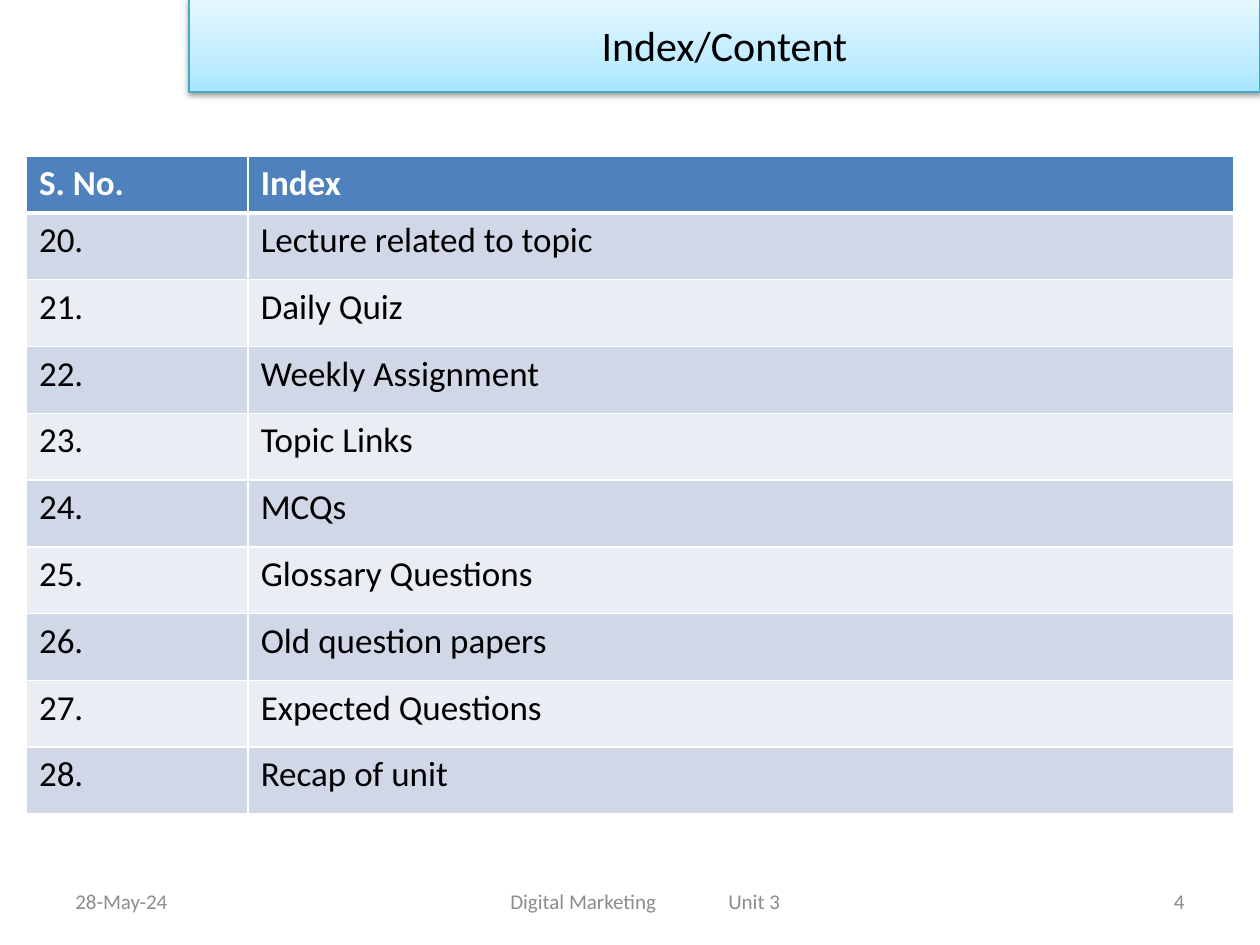
from copy import deepcopy

from lxml import etree
from pptx import Presentation
from pptx.dml.color import RGBColor
from pptx.enum.shapes import MSO_SHAPE
from pptx.enum.text import MSO_ANCHOR, PP_ALIGN
from pptx.oxml.ns import qn
from pptx.util import Inches, Pt

RECT = MSO_SHAPE.RECTANGLE
MIDDLE = MSO_ANCHOR.MIDDLE
LEFT, CENTER, RIGHT = PP_ALIGN.LEFT, PP_ALIGN.CENTER, PP_ALIGN.RIGHT

COLORS = {
    "white": "FFFFFF",
    "black": "000000",
    "gray": "8C8C8C",
    "head": "4F81BD",
    "odd": "D0D8E8",
    "even": "E9EDF4",
    "edge": "46AAC5",
    "deep": "A7E6FF",
    "mid": "C1EDFF",
    "pale": "E7F8FF",
}
TOPICS = [
    "Lecture related to topic",
    "Daily Quiz",
    "Weekly Assignment",
    "Topic Links",
    "MCQs",
    "Glossary Questions",
    "Old question papers",
    "Expected Questions",
    "Recap of unit",
]


def rgb(name):
    return RGBColor.from_string(COLORS[name])


def add(parent, tag, **attrs):
    return etree.SubElement(parent, qn(tag), {k: str(v) for k, v in attrs.items()})


class Deck:
    """Hold the style and the current slide, and draw each kind of element."""

    def __init__(self, font):
        self.font = font
        self.prs = Presentation()
        self.prs.slide_width, self.prs.slide_height = Inches(10), Inches(7.5)
        self.slide = self.prs.slides.add_slide(self.prs.slide_layouts[6])

    def style(self, frame, size, color, align=LEFT, bold=False):
        para = frame.paragraphs[0]
        para.alignment = align
        for run in para.runs:
            run.font.name, run.font.size, run.font.bold = self.font, Pt(size), bold
            run.font.color.rgb = rgb(color)

    def label(self, text, box, align=LEFT, inset=0.1, tab=None):
        frame = self.slide.shapes.add_textbox(*map(Inches, box)).text_frame
        frame.word_wrap = True
        frame.vertical_anchor = MIDDLE
        frame.margin_left = Inches(inset)
        frame.text = text
        if tab:
            stops = add(frame.paragraphs[0]._p.get_or_add_pPr(), "a:tabLst")
            add(stops, "a:tab", pos=Inches(tab), algn="l")
        self.style(frame, 12, "gray", align)

    def banner(self, text, box, stops):
        shape = self.slide.shapes.add_shape(RECT, *map(Inches, box))
        shape.fill.gradient()
        shape.fill.gradient_angle = 90
        props = shape._element.spPr
        row = props.find(qn("a:gradFill")).find(qn("a:gsLst"))
        row.append(deepcopy(row[0]))
        for stop, (place, color) in zip(shape.fill.gradient_stops, stops):
            stop.position = place
            stop.color.rgb = rgb(color)
        shape.line.color.rgb = rgb("edge")
        shape.line.width = Pt(0.75)
        shape.shadow.inherit = False
        shade = add(props.find(qn("a:effectLst")), "a:outerShdw", blurRad=Pt(3.1),
                    dist=Pt(1.6), dir=5400000, rotWithShape=0)
        tint = add(shade, "a:srgbClr", val=COLORS["black"])
        add(tint, "a:alpha", val=38000)
        frame = shape.text_frame
        frame.vertical_anchor = MIDDLE
        frame.text = text
        self.style(frame, 24, "black", CENTER)

    def border(self, cell, widths):
        props = cell._tc.get_or_add_tcPr()
        for side, width in zip("LRTB", widths):
            line = add(props, f"a:ln{side}", w=Pt(width))
            add(add(line, "a:solidFill"), "a:srgbClr", val=COLORS["white"])

    def table(self, rows, box, widths, heights):
        grid = self.slide.shapes.add_table(len(rows), len(widths), *map(Inches, box)).table
        for col, width in zip(grid.columns, widths):
            col.width = Inches(width)
        for i, texts in enumerate(rows):
            grid.rows[i].height = Inches(heights[i])
            head = i == 0
            fill = "head" if head else "odd" if i % 2 else "even"
            for j, text in enumerate(texts):
                cell = grid.cell(i, j)
                self.border(cell, (1, 1, 3 if i == 1 else 1, 3 if head else 1))
                cell.fill.solid()
                cell.fill.fore_color.rgb = rgb(fill)
                cell.text_frame.text = text
                self.style(cell.text_frame, 20, "white" if head else "black", bold=head)


def main():
    deck = Deck("Calibri")
    rows = [("S. No.", "Index")]
    rows += [(f"{num}.", topic) for num, topic in enumerate(TOPICS, 20)]
    heights = [0.45] + [0.53] * len(TOPICS)
    deck.table(rows, (0.21, 1.24, 9.58, sum(heights)), (1.76, 7.82), heights)
    deck.label("4", (7.17, 6.95, 2.33, 0.4), RIGHT)
    deck.banner("Index/Content", (1.5, -0.02, 8.5, 0.75),
                ((0, "deep"), (0.35, "mid"), (1, "pale")))
    deck.label("28-May-24", (0.5, 6.95, 2.33, 0.4))
    deck.label("Digital Marketing\tUnit 3", (1.67, 6.95, 6.92, 0.4), inset=2.38, tab=1.73)
    deck.prs.save("out.pptx")


if __name__ == "__main__":
    main()
